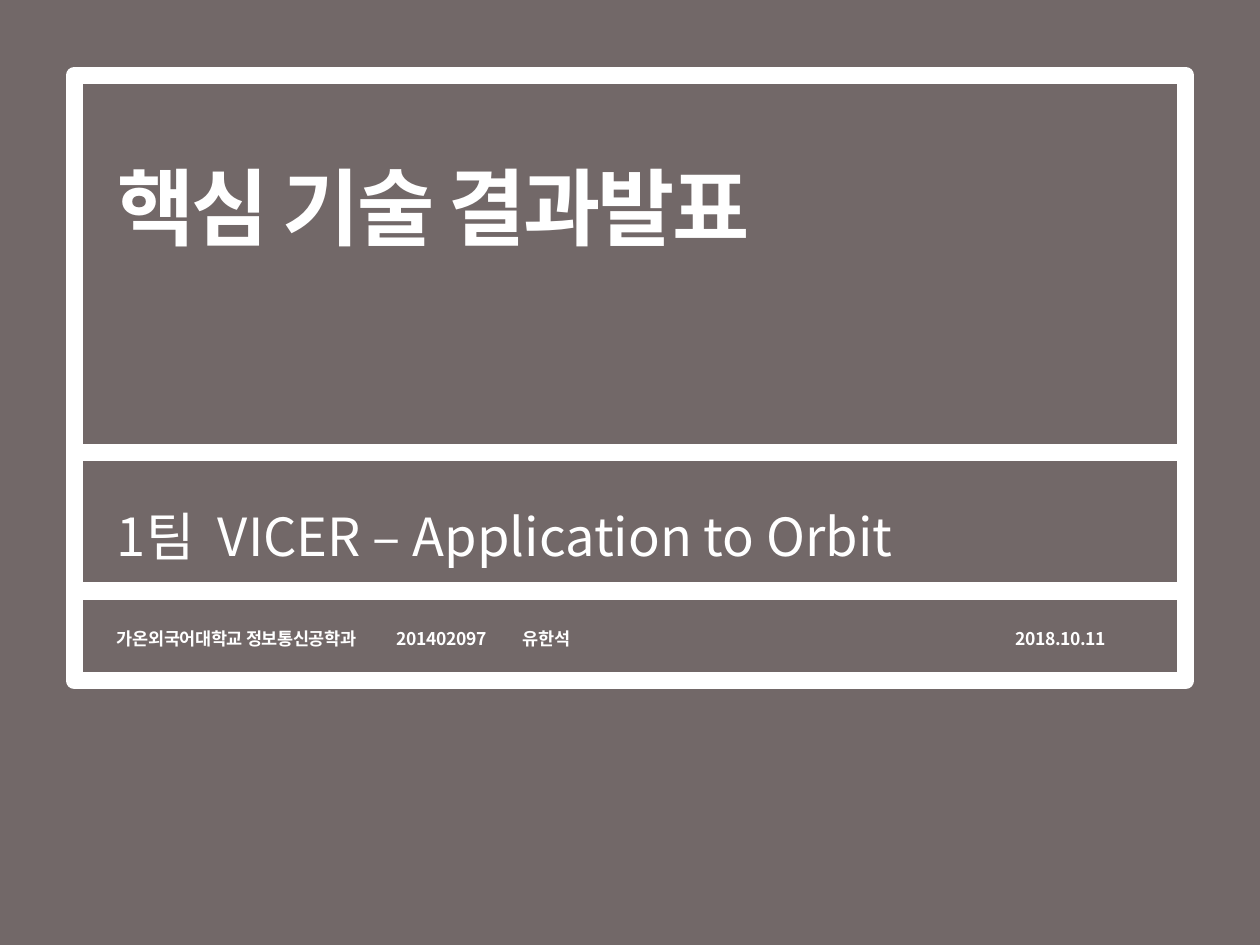
from lxml import etree
from pptx import Presentation
from pptx.dml.color import RGBColor
from pptx.enum.shapes import MSO_SHAPE
from pptx.enum.text import MSO_ANCHOR, PP_ALIGN
from pptx.oxml.ns import qn
from pptx.util import Inches, Pt

RECT = MSO_SHAPE.RECTANGLE
TOP, MIDDLE = MSO_ANCHOR.TOP, MSO_ANCHOR.MIDDLE
LEFT = PP_ALIGN.LEFT

THEME = {
    "font": "Noto Sans CJK KR",
    "back": RGBColor(0x72, 0x68, 0x68),
    "ink": RGBColor(0xFF, 0xFF, 0xFF),
    "title": 48,
    "team": 30,
    "foot": 10,
    "frame": 10,
}


def write(shape, box, text, size, bold, track, lead, anchor):
    shape.left, shape.top, shape.width, shape.height = map(Inches, box)
    frame = shape.text_frame
    frame.text = text
    frame.word_wrap = True
    frame.vertical_anchor = anchor
    para = frame.paragraphs[0]
    para.alignment = LEFT
    para.line_spacing = lead
    for run in para.runs:
        font = run.font
        font.name = THEME["font"]
        font.size = Pt(THEME[size])
        font.bold = bold
        font.color.rgb = THEME["ink"]
        props = run._r.get_or_add_rPr()
        props.set("spc", str(track))
        etree.SubElement(props, qn("a:ea"), typeface=THEME["font"])
    return para


deck = Presentation()
deck.slide_width, deck.slide_height = Inches(10), Inches(7.5)
slide = deck.slides.add_slide(deck.slide_layouts[5])
shapes = slide.shapes
fill = slide.background.fill
fill.solid()
fill.fore_color.rgb = THEME["back"]

top = 0.6
for height in (2.99, 1.1, 0.71):
    panel = shapes.add_shape(RECT, Inches(0.59), Inches(top), Inches(8.82), Inches(height))
    panel.shadow.inherit = False
    panel.fill.background()
    panel.line.color.rgb = THEME["ink"]
    panel.line.width = Pt(THEME["frame"])
    top += height

write(shapes.title, (0.83, 0.84, 7.8, 1.61), "핵심 기술 결과발표",
      "title", True, -150, Pt(56), MIDDLE)

team = shapes.add_textbox(0, 0, 0, 0)
write(team, (0.83, 3.67, 6.69, 0.87), "1팀  VICER – Application to Orbit",
      "team", False, 0, Pt(56), TOP)

foot = shapes.add_textbox(0, 0, 0, 0)
line = write(foot, (0.83, 4.85, 8.35, 0.71),
             "가온외국어대학교 정보통신공학과\t201402097\t유한석\t2018.10.11",
             "foot", True, -20, 1.5, TOP)
line.space_before = Pt(2)
tabs = etree.SubElement(line._p.get_or_add_pPr(), qn("a:tabLst"))
for stop in (2.22, 3.22, 7.13):
    etree.SubElement(tabs, qn("a:tab"), pos=str(Inches(stop)), algn="l")

deck.save("out.pptx")
